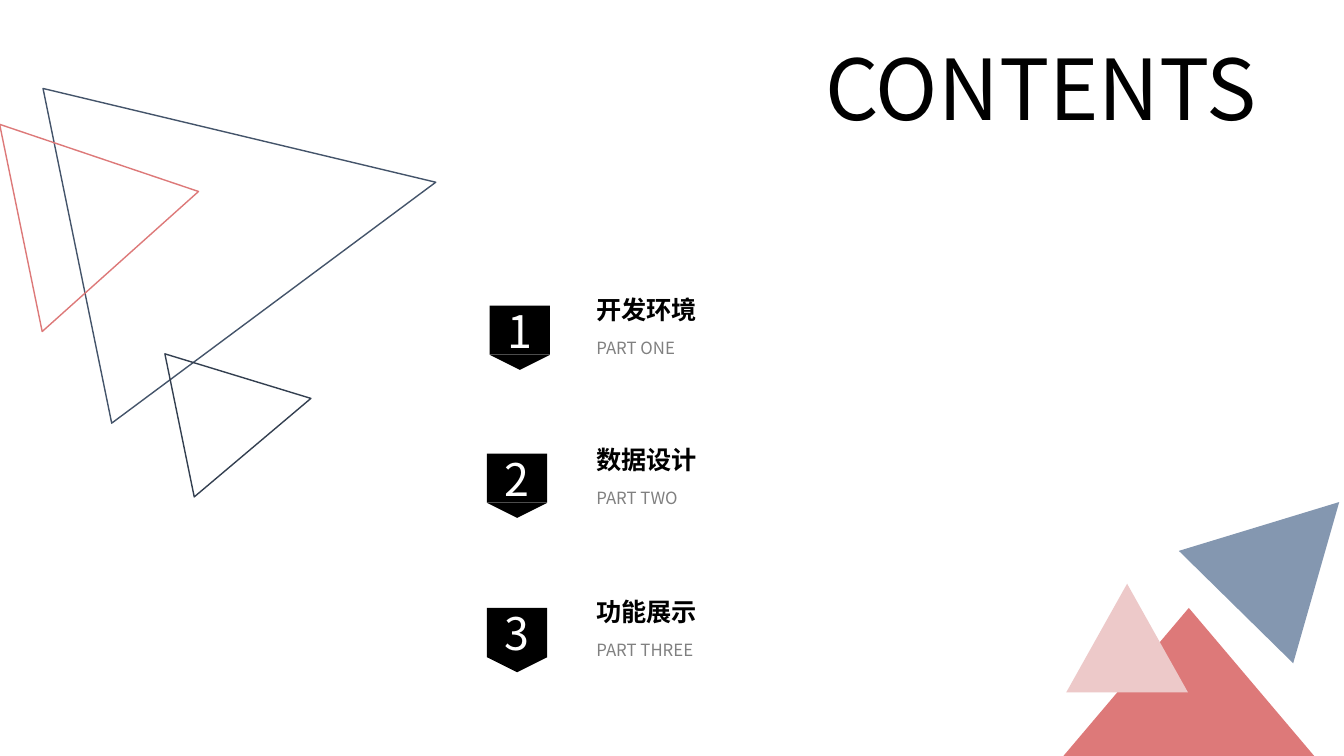
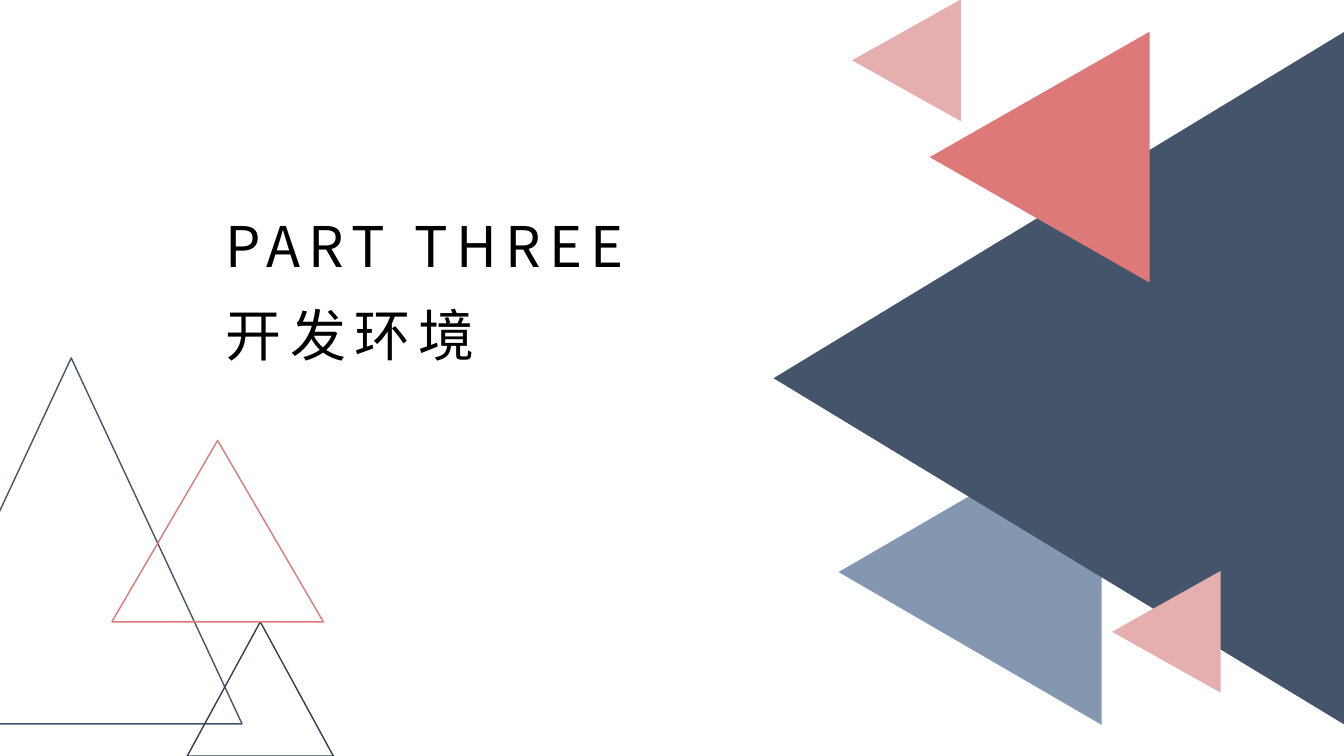
from lxml.etree import SubElement
from pptx import Presentation
from pptx.dml.color import RGBColor
from pptx.enum.shapes import MSO_SHAPE
from pptx.enum.text import MSO_ANCHOR, MSO_AUTO_SIZE, PP_ALIGN
from pptx.oxml.ns import qn
from pptx.util import Cm, Pt

FONT = "Noto Sans CJK SC"
BLACK, WHITE, GREY = "000000", "FFFFFF", "808080"
NAVY, DARK, BLUE = "44546A", "333F50", "8497B0"
RED, ROSE, PINK = "DD7979", "E5AFAF", "EDC9C9"

# Outlined triangles used on both slides: width, height, colour
OUTLINES = [(8.61, 9.22, NAVY), (3.68, 3.38, DARK), (5.33, 4.57, RED)]
SMALL = (3.07, 2.74)


def color(value):
    return RGBColor.from_string(value)


def add_plain_shape(shapes, kind, box, fill=None, line=None, rotation=0):
    shape = shapes.add_shape(kind, *map(Cm, box))
    shape.shadow.inherit = False
    shape.rotation = rotation
    if fill:
        shape.fill.solid()
        shape.fill.fore_color.rgb = color(fill)
    else:
        shape.fill.background()
    if line:
        shape.line.color.rgb = color(line)
        shape.line.width = Pt(1)
    else:
        shape.line.fill.background()
    return shape


def add_triangle(shapes, box, **style):
    return add_plain_shape(shapes, MSO_SHAPE.ISOSCELES_TRIANGLE, box, **style)


def write(shape, text, size, value=BLACK, bold=False, align=PP_ALIGN.LEFT,
          line_spacing=1.0, tracking=0):
    shape.text_frame.text = text
    paragraph = shape.text_frame.paragraphs[0]
    paragraph.alignment = align
    paragraph.line_spacing = line_spacing
    run = paragraph.runs[0]
    run.font.size = Pt(size)
    run.font.bold = bold
    run.font.name = FONT
    run.font.color.rgb = color(value)
    properties = run.font._element
    SubElement(properties, qn("a:ea")).set("typeface", FONT)
    if tracking:
        properties.set("spc", str(tracking * 100))


def frame_text(shape, margins=(0.25, 0.13)):
    frame = shape.text_frame
    frame.word_wrap = True
    frame.auto_size = MSO_AUTO_SIZE.SHAPE_TO_FIT_TEXT
    frame.vertical_anchor = MSO_ANCHOR.TOP
    frame.margin_left = frame.margin_right = Cm(margins[0])
    frame.margin_top = frame.margin_bottom = Cm(margins[1])


def add_text(slide, box, text, size, margins=(0.25, 0.13), **style):
    shape = slide.shapes.add_textbox(*map(Cm, box))
    frame_text(shape, margins)
    write(shape, text, size, **style)


def place_title(slide, box, text, size, margins=(0.25, 0.13), **style):
    title = slide.shapes.title
    title.left, title.top, title.width, title.height = map(Cm, box)
    frame_text(title, margins)
    write(title, text, size, **style)


def add_outlines(slide, positions, rotation=0):
    group = slide.shapes.add_group_shape()
    for (left, top), (width, height, line) in zip(positions, OUTLINES):
        add_triangle(group.shapes, (left, top, width, height),
                     line=line, rotation=rotation)


def add_badge(slide, left, top, number):
    """Number on a black tag with a pointed lower edge."""
    width, height, tip = 1.52, 1.24, 0.38
    group = slide.shapes.add_group_shape()
    tag = add_plain_shape(group.shapes, MSO_SHAPE.RECTANGLE,
                          (left, top, width, height), fill=BLACK)
    tag.text_frame.vertical_anchor = MSO_ANCHOR.MIDDLE
    write(tag, str(number), 32, WHITE, align=PP_ALIGN.CENTER)
    add_triangle(group.shapes, (left, top + height, width, tip),
                 fill=BLACK, rotation=180)


def add_entry(slide, left, top, heading, part):
    add_text(slide, (left, top, 9.04, 1.17), heading, 18,
             bold=True, line_spacing=1.3)
    add_text(slide, (left, top + 1.25, 16.1, 0.79), part, 12,
             value=GREY, line_spacing=1.14)


def build_contents(presentation):
    slide = presentation.slides.add_slide(presentation.slide_layouts[5])
    place_title(slide, (19.66, 0.79, 13.13, 2.82), "CONTENTS", 60,
                align=PP_ALIGN.CENTER)

    # Triangles in the corners
    add_outlines(slide, [(2.16, 0.91), (4.34, 8.69), (0.1, 3)], rotation=78.4)
    add_triangle(slide.shapes, (26.8, 15.32, 6.32, 3.73), fill=RED)
    add_triangle(slide.shapes, (26.87, 14.71, *SMALL), fill=PINK)
    add_triangle(slide.shapes, (30.43, 12.12, 4.04, 3.71), fill=BLUE,
                 rotation=44.5)

    # Numbered entries: badge position, text top, wording
    entries = [
        (12.34, 7.7, 7.06, "开发环境", "PART ONE"),
        (12.27, 11.43, 10.85, "数据设计", "PART TWO"),
        (12.27, 15.32, 14.68, "功能展示", "PART THREE"),
    ]
    for number, entry in enumerate(entries, 1):
        badge_left, badge_top, text_top, heading, part = entry
        add_badge(slide, badge_left, badge_top, number)
        add_entry(slide, 14.78, text_top, heading, part)


def build_section(presentation):
    slide = presentation.slides.add_slide(presentation.slide_layouts[5])

    # Filled triangles pointing left
    group = slide.shapes.add_group_shape()
    for box, fill in [
        ((20.6, 11.1, 7.7, 6.63), BLUE),
        ((17.96, 2.34, 17.45, 14.38), NAVY),
        ((23.04, 1.19, 6.32, 5.54), RED),
        ((21.31, 0.15, *SMALL), ROSE),
        ((27.86, 14.55, *SMALL), ROSE),
    ]:
        add_triangle(group.shapes, box, fill=fill, rotation=270)
    add_outlines(slide, [(-2.51, 9.02), (4.72, 15.67), (2.82, 11.1)])

    # Section number and name
    left, width, height = 5.36, 11.58, 2.06
    style = {"size": 40, "margins": (0.33, 0.18), "tracking": 6}
    place_title(slide, (left, 5.16, width, height), "PART THREE", **style)
    add_text(slide, (left, 7.39, width, height), "开发环境", **style)


def main():
    presentation = Presentation()
    presentation.slide_width = Cm(33.87)
    presentation.slide_height = Cm(19.05)
    build_contents(presentation)
    build_section(presentation)
    presentation.save("out.pptx")


if __name__ == "__main__":
    main()
